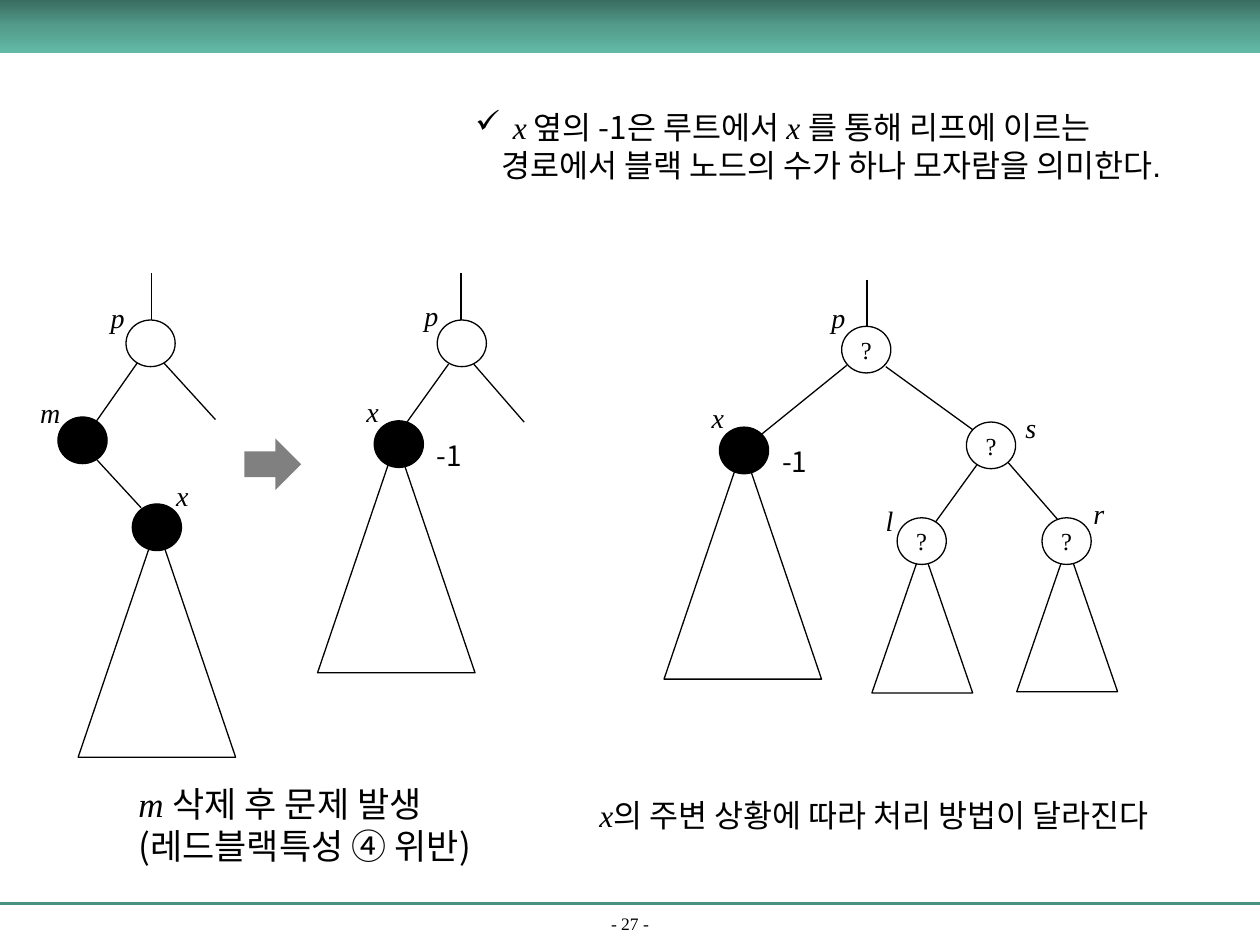
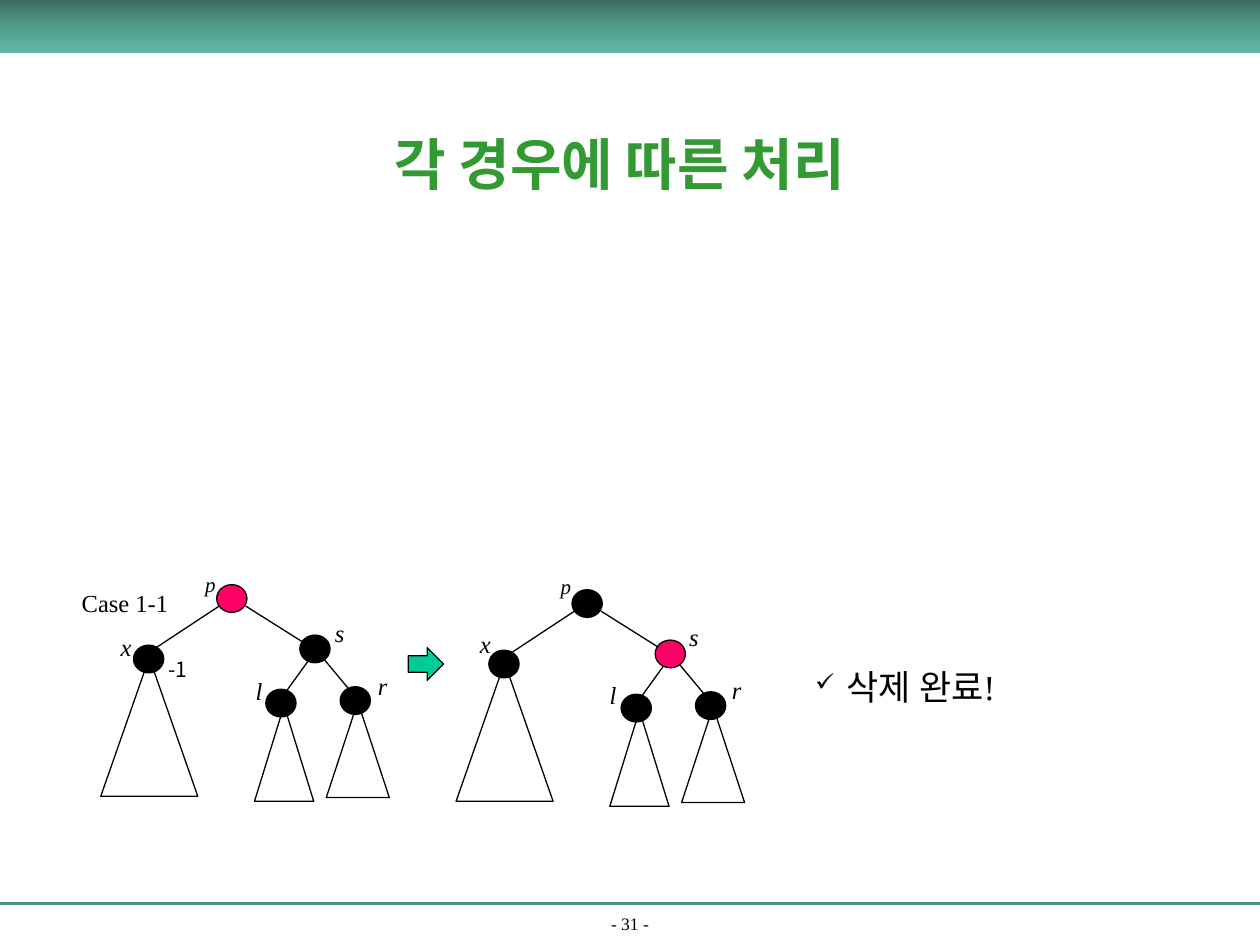
from copy import deepcopy
from dataclasses import dataclass

from lxml import etree
from pptx import Presentation
from pptx.dml.color import RGBColor
from pptx.enum.shapes import MSO_CONNECTOR, MSO_SHAPE
from pptx.enum.text import MSO_ANCHOR, MSO_AUTO_SIZE, PP_ALIGN
from pptx.oxml.ns import qn
from pptx.util import Inches, Pt

OVAL, CONE = MSO_SHAPE.OVAL, MSO_SHAPE.ISOSCELES_TRIANGLE
ARROW, RECT = MSO_SHAPE.RIGHT_ARROW, MSO_SHAPE.RECTANGLE
STRAIGHT = MSO_CONNECTOR.STRAIGHT
CENTER, LEFT = PP_ALIGN.CENTER, PP_ALIGN.LEFT
MIDDLE, TOP, BOTTOM = MSO_ANCHOR.MIDDLE, MSO_ANCHOR.TOP, MSO_ANCHOR.BOTTOM
FIT, FIXED = MSO_AUTO_SIZE.SHAPE_TO_FIT_TEXT, MSO_AUTO_SIZE.NONE

BLACK, WHITE, PINK = "000000", "FFFFFF", "FF0066"
GREEN, TEAL, GRAY, MINT = "339933", "4C9282", "808080", "00CC99"
BAND = [(0, "3A6D62"), (0.5, "539C8B"), (1, "62B9A5")]
SERIF, SANS, ARIAL = "Times New Roman", "Noto Sans CJK KR", "Arial"
BIG, SMALL = (0.39, 0.37), (0.24, 0.22)


@dataclass
class Node:
    left: float
    top: float
    fill: str = BLACK
    text: str = ""


@dataclass
class Tag:
    text: str
    left: float
    top: float
    size: int = 16
    width: float = 0.34


@dataclass
class Part:
    text: str
    font: str = SANS
    italic: bool = False


@dataclass
class Tree:
    nodes: list[Node]
    cones: list[tuple]
    edges: list[tuple]
    tags: list[Tag]


def color(code: str) -> RGBColor:
    return RGBColor.from_string(code)


def style(run, size: int, font: str = SERIF, italic: bool = False,
          ink: str = BLACK, bold: bool = False) -> None:
    face = run.font
    face.size, face.name = Pt(size), font
    face.italic, face.bold = italic, bold
    face.color.rgb = color(ink)
    east = etree.SubElement(run._r.get_or_add_rPr(), qn("a:ea"))
    east.set("typeface", SANS)


def fill_in(para, parts: list[Part], size: int) -> None:
    for part in parts:
        run = para.add_run()
        run.text = part.text
        style(run, size, part.font, part.italic)


def place(shape, left: float, top: float, width: float, height: float) -> None:
    shape.left, shape.top = Inches(left), Inches(top)
    shape.width, shape.height = Inches(width), Inches(height)


def form(slide, kind, box: tuple, fill: str = "", line: str = BLACK):
    shape = slide.shapes.add_shape(kind, *map(Inches, box))
    shape.shadow.inherit = False
    if fill:
        shape.fill.solid()
        shape.fill.fore_color.rgb = color(fill)
    else:
        shape.fill.background()
    if line:
        shape.line.color.rgb = color(line)
        shape.line.width = Pt(0.75)
    else:
        shape.line.fill.background()
    return shape


def edge(slide, ends: tuple, ink: str = BLACK, weight: float = 0.75) -> None:
    line = slide.shapes.add_connector(STRAIGHT, *map(Inches, ends))
    line.line.color.rgb = color(ink)
    line.line.width = Pt(weight)
    etree.SubElement(line._element.spPr, qn("a:effectLst"))


def note(slide, box: tuple, lines: list[list[Part]], size: int,
         wrap: bool = False) -> None:
    frame = slide.shapes.add_textbox(*map(Inches, box)).text_frame
    frame.word_wrap, frame.auto_size = wrap, FIT
    for i, parts in enumerate(lines):
        para = frame.add_paragraph() if i else frame.paragraphs[0]
        fill_in(para, parts, size)


def bullet(para, indent: float, scale: int = 100, mark: str = "✓") -> None:
    props = para._p.get_or_add_pPr()
    props.set("marL", str(Inches(indent)))
    props.set("indent", str(-Inches(indent) if mark else 0))
    if mark:
        etree.SubElement(props, qn("a:buSzPct")).set("val", str(scale * 1000))
        etree.SubElement(props, qn("a:buFont")).set("typeface", "Wingdings")
        etree.SubElement(props, qn("a:buChar")).set("char", "ü")
    else:
        etree.SubElement(props, qn("a:buNone"))


def body(slide, box: tuple):
    shape = slide.placeholders[1]
    place(shape, *box)
    frame = shape.text_frame
    frame.word_wrap, frame.auto_size = True, FIXED
    frame.vertical_anchor = TOP
    return frame


def item(para, parts: list[Part], size: int) -> None:
    para.space_before, para.alignment = Pt(0), LEFT
    fill_in(para, parts, size)


def draw(slide, tree: Tree, size: tuple, dx: float = 0, dy: float = 0) -> None:
    for left, top, width, height in tree.cones:
        form(slide, CONE, (left + dx, top + dy, width, height))
    for x1, y1, x2, y2 in tree.edges:
        edge(slide, (x1 + dx, y1 + dy, x2 + dx, y2 + dy))
    for node in tree.nodes:
        shape = form(slide, OVAL, (node.left + dx, node.top + dy, *size),
                     node.fill)
        if node.text:
            frame = shape.text_frame
            frame.text, frame.word_wrap = node.text, False
            frame.vertical_anchor = MIDDLE
            frame.paragraphs[0].alignment = CENTER
            style(frame.paragraphs[0].runs[0], 14)
    for tag in tree.tags:
        one = len(tag.text) == 1
        part = Part(tag.text, SERIF if one else SANS, one)
        high = {16: 0.37, 14: 0.33, 12: 0.3}[tag.size]
        note(slide, (tag.left, tag.top, tag.width, high), [[part]],
             tag.size, one)


def page(deck, number: int):
    """Add a slide with its top band, footer rule and page number."""
    slide = deck.slides.add_slide(deck.slide_layouts[1])
    edge(slide, (0, 7.17, 10, 7.17), TEAL, 1.5)
    foot = slide.shapes.add_textbox(*map(Inches, (0, 7.24, 10, 0.22)))
    frame = foot.text_frame
    frame.text, frame.word_wrap = f"- {number} -", True
    frame.vertical_anchor = BOTTOM
    frame.paragraphs[0].alignment = CENTER
    style(frame.paragraphs[0].runs[0], 10)

    band = form(slide, RECT, (0, 0, 10, 0.42), line="")
    band.fill.gradient()
    band.fill.gradient_angle = 270
    stops = band._element.xpath(".//a:gsLst")[0]
    stops.insert(1, deepcopy(stops[0]))
    for stop, (spot, code) in zip(band.fill.gradient_stops, BAND):
        stop.position, stop.color.rgb = spot, color(code)
    return slide


# Trees before and after m is removed, and the tree around x
BEFORE = Tree(
    [Node(1, 2.54, WHITE), Node(0.46, 3.31), Node(1.05, 4)],
    [(0.62, 4.17, 1.25, 1.84)],
    [(1.2, 2.17, 1.2, 2.54), (1.09, 2.88, 0.76, 3.35),
     (0.77, 3.65, 1.12, 4.03), (1.3, 2.88, 1.71, 3.33)],
    [Tag("p", 0.78, 2.34), Tag("m", 0.22, 3.09), Tag("x", 1.3, 3.75, 16, 0.3)])
AFTER = Tree(
    [Node(3.47, 2.54, WHITE), Node(2.97, 3.34)],
    [(2.52, 3.5, 1.25, 1.84)],
    [(3.66, 2.17, 3.66, 2.54), (3.56, 2.89, 3.23, 3.35),
     (3.76, 2.89, 4.16, 3.35)],
    [Tag("p", 3.27, 2.32), Tag("x", 2.81, 3.08),
     Tag("-1", 3.37, 3.43, 16, 0.47)])
AROUND = Tree(
    [Node(6.68, 2.59, WHITE, "?"), Node(5.71, 3.39),
     Node(7.67, 3.35, WHITE, "?"), Node(7.12, 4.11, WHITE, "?"),
     Node(8.27, 4.11, WHITE, "?")],
    [(5.27, 3.55, 1.25, 1.84), (8.07, 4.33, 0.8, 1.16),
     (6.92, 4.34, 0.8, 1.16)],
    [(6.88, 2.22, 6.88, 2.59), (6.72, 2.9, 6.04, 3.45),
     (7.03, 2.91, 7.72, 3.41), (7.76, 3.68, 7.42, 4.15),
     (8, 3.67, 8.4, 4.13)],
    [Tag("p", 6.5, 2.34), Tag("x", 5.55, 3.13), Tag("s", 8.04, 3.21),
     Tag("l", 6.93, 3.95), Tag("r", 8.58, 3.89),
     Tag("-1", 6.11, 3.48, 16, 0.47)])


def case(root: str, right: str, tags: list[Tag]) -> Tree:
    """Build the five-node tree with its two changing colours."""
    return Tree(
        [Node(1.72, 4.64, root), Node(2.38, 5.04, right), Node(1.06, 5.12),
         Node(2.11, 5.47), Node(2.7, 5.45)],
        [(0.8, 5.22, 0.77, 1.1), (2.02, 5.6, 0.47, 0.76),
         (2.59, 5.57, 0.5, 0.76)],
        [(1.74, 4.81, 1.24, 5.14), (1.95, 4.81, 2.41, 5.1),
         (2.45, 5.24, 2.27, 5.49), (2.57, 5.23, 2.77, 5.47)],
        tags)


def fault(deck) -> None:
    slide = page(deck, 27)
    title = slide.shapes.title._element
    title.getparent().remove(title)
    for tree in (BEFORE, AFTER, AROUND):
        draw(slide, tree, BIG)
    form(slide, ARROW, (1.94, 3.48, 0.45, 0.41), GRAY, "")

    # Captions
    note(slide, (1, 6.16, 3.09, 0.77),
         [[Part("m ", SERIF, True), Part("삭제 후 문제 발생")],
          [Part("(레드블랙특성 ④ 위반)")]], 20)
    note(slide, (4.66, 6.27, 5.06, 0.4),
         [[Part("x", SERIF, True),
           Part("의 주변 상황에 따라 처리 방법이 달라진다")]], 18)

    # Remark on the -1 mark
    frame = body(slide, (3.67, 0.81, 6.15, 0.7))
    first, second = frame.paragraphs[0], frame.add_paragraph()
    bullet(first, 0.3)
    item(first, [Part("x", SERIF, True), Part(" 옆의 -1은 루트에서 "),
                 Part("x ", SERIF, True),
                 Part("를 통해 리프에 이르는", ARIAL)], 18)
    bullet(second, 0.21, mark="")
    item(second, [Part("경로에서 블랙 노드의 수가 하나 모자람을 의미한다.",
                       ARIAL)], 18)


def cases(deck) -> None:
    slide = page(deck, 31)
    title = slide.shapes.title
    place(title, 0.67, 0.67, 8.5, 1.25)
    title.text_frame.text = "각 경우에 따른 처리"
    title.text_frame.vertical_anchor = MIDDLE
    para = title.text_frame.paragraphs[0]
    para.alignment = CENTER
    style(para.runs[0], 32, ink=GREEN, bold=True)

    # Case 1-1 before and after recolouring
    draw(slide, case(PINK, BLACK, [
        Tag("p", 1.53, 4.49, 12, 0.28), Tag("x", 0.86, 4.97, 14, 0.29),
        Tag("s", 2.56, 4.86, 14, 0.28), Tag("l", 1.93, 5.32, 14, 0.26),
        Tag("r", 2.9, 5.28, 14, 0.28), Tag("-1", 1.24, 5.16, 12, 0.4)]), SMALL)
    draw(slide, case(BLACK, PINK, [
        Tag("p", 4.35, 4.5, 12, 0.28), Tag("x", 3.71, 4.94, 14, 0.29),
        Tag("s", 5.37, 4.89, 14, 0.28), Tag("l", 4.74, 5.35, 14, 0.26),
        Tag("r", 5.71, 5.31, 14, 0.28)]), SMALL, 2.82, 0.04)
    form(slide, ARROW, (3.24, 5.14, 0.28, 0.26), MINT)
    note(slide, (0.55, 4.62, 0.89, 0.33), [[Part("Case 1-1", SERIF)]], 14)

    # Outcome
    para = body(slide, (6.37, 5.23, 1.6, 0.8)).paragraphs[0]
    bullet(para, 0.25, 70)
    item(para, [Part("삭제 완료!", SERIF)], 20)


def main() -> None:
    deck = Presentation()
    deck.slide_width, deck.slide_height = Inches(10), Inches(7.5)
    fault(deck)
    cases(deck)
    deck.save("out.pptx")


if __name__ == "__main__":
    main()
